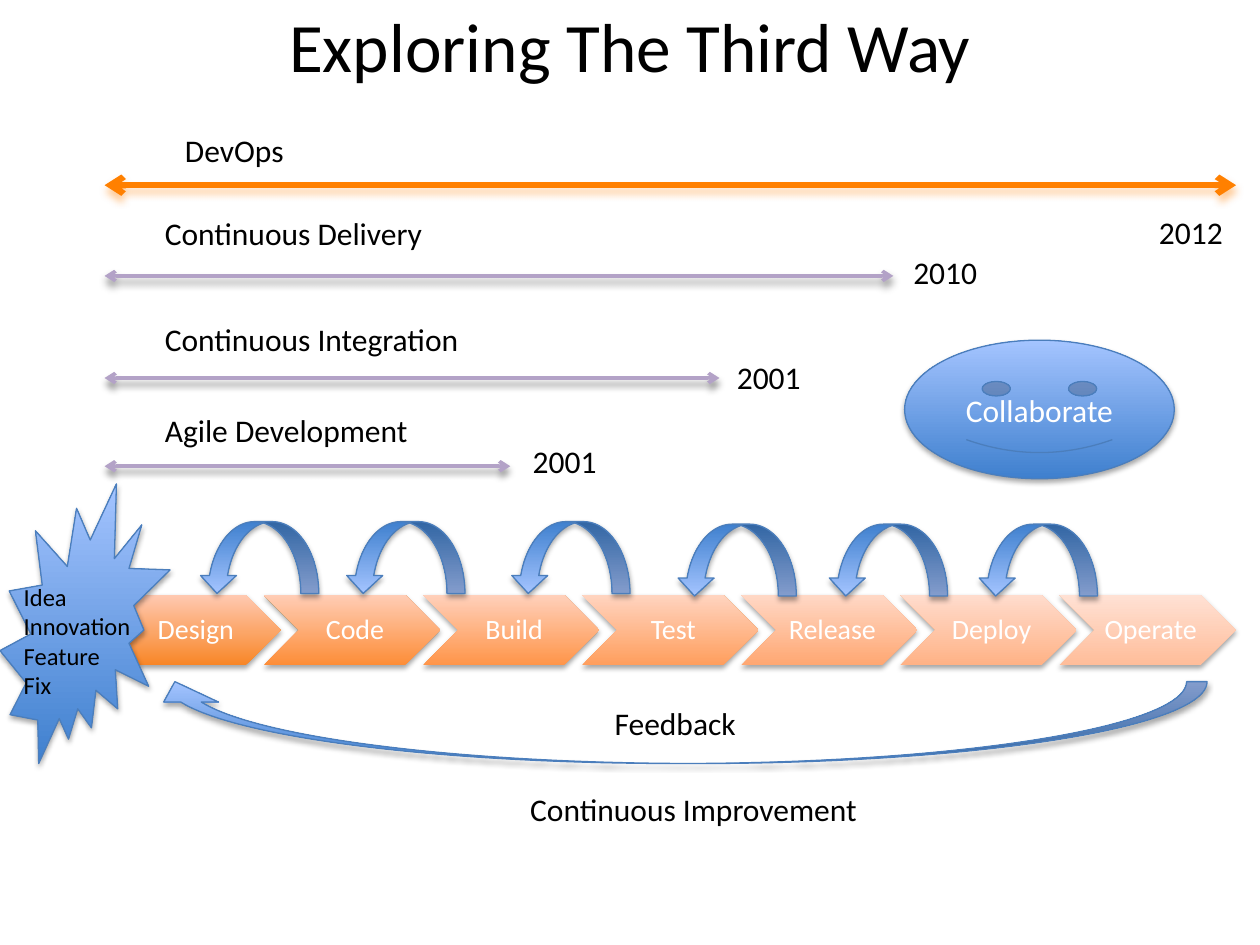
"""Build the "Exploring The Third Way" slide."""
import pptx
import pptx.dml.color
import pptx.enum.shapes
import pptx.enum.text
import pptx.oxml
import pptx.oxml.ns
import pptx.util

Inches, Pt = pptx.util.Inches, pptx.util.Pt
RGBColor = pptx.dml.color.RGBColor
MSO_SHAPE = pptx.enum.shapes.MSO_SHAPE
PP_ALIGN = pptx.enum.text.PP_ALIGN
MIDDLE = pptx.enum.text.MSO_ANCHOR.MIDDLE

BLACK = RGBColor(0x00, 0x00, 0x00)
WHITE = RGBColor(0xFF, 0xFF, 0xFF)
BLUE_DARK = RGBColor(0x3F, 0x80, 0xCE)
BLUE_LIGHT = RGBColor(0xA4, 0xC4, 0xFF)
BLUE_LINE = RGBColor(0x4B, 0x7E, 0xBC)
PURPLE = RGBColor(0xB3, 0xA2, 0xC7)
ORANGE = RGBColor(0xFF, 0x80, 0x00)
NS = pptx.oxml.ns.nsdecls("a")


def add_shadow(sp, color, alpha, blur, dist):
    sp._element.spPr.append(pptx.oxml.parse_xml(
        f'<a:effectLst {NS}><a:outerShdw blurRad="{Pt(blur)}" dist="{Pt(dist)}" '
        f'dir="5400000" rotWithShape="0"><a:srgbClr val="{color}">'
        f'<a:alpha val="{alpha * 1000}"/></a:srgbClr></a:outerShdw></a:effectLst>'))


def set_text(sp, text, size, color, align=PP_ALIGN.LEFT):
    tf = sp.text_frame
    tf.text = text
    for p in tf.paragraphs:
        p.alignment = align
        for r in p.runs:
            r.font.name = "Calibri"
            r.font.size = Pt(size)
            r.font.color.rgb = color
    return tf


prs = pptx.Presentation()
prs.slide_width, prs.slide_height = Inches(10), Inches(7.5)
s = prs.slides.add_slide(prs.slide_layouts[6])

title = s.shapes.add_textbox(Inches(0.5), Inches(0), Inches(9), Inches(0.71))
tf = set_text(title, "Exploring The Third Way", 39.6, BLACK, PP_ALIGN.CENTER)
tf.word_wrap = True
tf.vertical_anchor = MIDDLE

stages = [
    ("Design", "F88627", "FFC9B1"),
    ("Code", "FD8D37", "FFCDB6"),
    ("Build", "FF9549", "FFD0BB"),
    ("Test", "FF9E5D", "FFD4C0"),
    ("Release", "FFA772", "FFD8C6"),
    ("Deploy", "FFB286", "FFDCCD"),
    ("Operate", "FFBD9A", "FFE1D4"),
]
gradients = []
for i, (stage, dark, light) in enumerate(stages):
    sp = s.shapes.add_shape(MSO_SHAPE.CHEVRON, Inches(0.83 + 1.263 * i), Inches(4.72),
                            Inches(1.4), Inches(0.56))
    sp.line.fill.background()
    tf = set_text(sp, stage, 16, WHITE, PP_ALIGN.CENTER)
    tf.vertical_anchor = MIDDLE
    tf.margin_left = Inches(0.07)
    tf.margin_top = tf.margin_right = tf.margin_bottom = Inches(0.02)
    tf.paragraphs[0].line_spacing = 0.9
    gradients.append((sp, RGBColor.from_string(dark), RGBColor.from_string(light)))

blue_shapes = [(MSO_SHAPE.EXPLOSION2, 0, 3.84, 1.35, 2.22)]
for x, y in [(1.58, 4.14), (2.74, 4.14), (4.05, 4.14), (5.37, 4.16), (6.57, 4.16), (7.76, 4.16)]:
    blue_shapes.append((MSO_SHAPE.CURVED_UP_ARROW, x, y, 0.95, 0.57))
blue_shapes += [(MSO_SHAPE.CURVED_UP_ARROW, 1.17, 5.41, 8.41, 0.65),
                (MSO_SHAPE.SMILEY_FACE, 7.18, 2.7, 2.14, 1.1)]
blues = []
for kind, x, y, w, h in blue_shapes:
    sp = s.shapes.add_shape(kind, Inches(x), Inches(y), Inches(w), Inches(h))
    sp.line.color.rgb = BLUE_LINE
    sp.line.width = Pt(0.75)
    blues.append(sp)
    gradients.append((sp, BLUE_DARK, BLUE_LIGHT))

seal, *loops, feedback, smiley = blues
for sp in loops:
    sp.rotation = 180
feedback._element.spPr.xfrm.set("flipH", "1")
for i, value in enumerate([0.25, 0.67, 0.25]):
    feedback.adjustments[i] = value
set_text(smiley, "Collaborate", 18, WHITE, PP_ALIGN.CENTER).vertical_anchor = MIDDLE

for sp, dark, light in gradients:
    sp.fill.gradient()
    sp.fill.gradient_angle = 90
    for stop, color in zip(sp.fill.gradient_stops, (dark, light)):
        stop.color.rgb = color
    add_shadow(sp, BLACK, 35, 3.1, 1.8)

timelines = [
    (4.05, 3.7, PURPLE, 2, BLACK),
    (5.71, 3, PURPLE, 2, BLACK),
    (7.09, 2.19, PURPLE, 2, BLACK),
    (9.81, 1.47, ORANGE, 3.5, ORANGE),
]
for end, y, color, width, shadow in timelines:
    line = s.shapes.add_connector(pptx.enum.shapes.MSO_CONNECTOR.STRAIGHT,
                                  Inches(0.83), Inches(y), Inches(end), Inches(y))
    line.line.color.rgb = color
    line.line.width = Pt(width)
    for tag in ("headEnd", "tailEnd"):
        line.line._get_or_add_ln().append(pptx.oxml.parse_xml(f'<a:{tag} {NS} type="arrow"/>'))
    add_shadow(line, shadow, 40, 4, 3)

labels = [
    ("Agile Development", 1.21, 3.21, 2.15),
    ("Continuous Integration", 1.21, 2.49, 2.57),
    ("Continuous Delivery", 1.21, 1.65, 2.27),
    ("DevOps", 1.37, 0.99, 1),
    ("Feedback", 4.78, 5.54, 1.18),
    ("Continuous Improvement", 4.11, 6.22, 2.84),
    ("2001", 4.13, 3.46, 0.76),
    ("2001", 5.75, 2.79, 0.76),
    ("2010", 7.15, 1.96, 0.76),
    ("2012", 9.1, 1.64, 0.76),
]
for text, x, y, w in labels:
    sp = s.shapes.add_textbox(Inches(x), Inches(y), Inches(w), Inches(0.4))
    set_text(sp, text, 18, BLACK).word_wrap = False

ideas = s.shapes.add_textbox(Inches(0.09), Inches(4.57), Inches(1.17), Inches(1.04))
set_text(ideas, "Idea\nInnovation\nFeature\nFix", 14, BLACK).word_wrap = True

prs.save("out.pptx")
